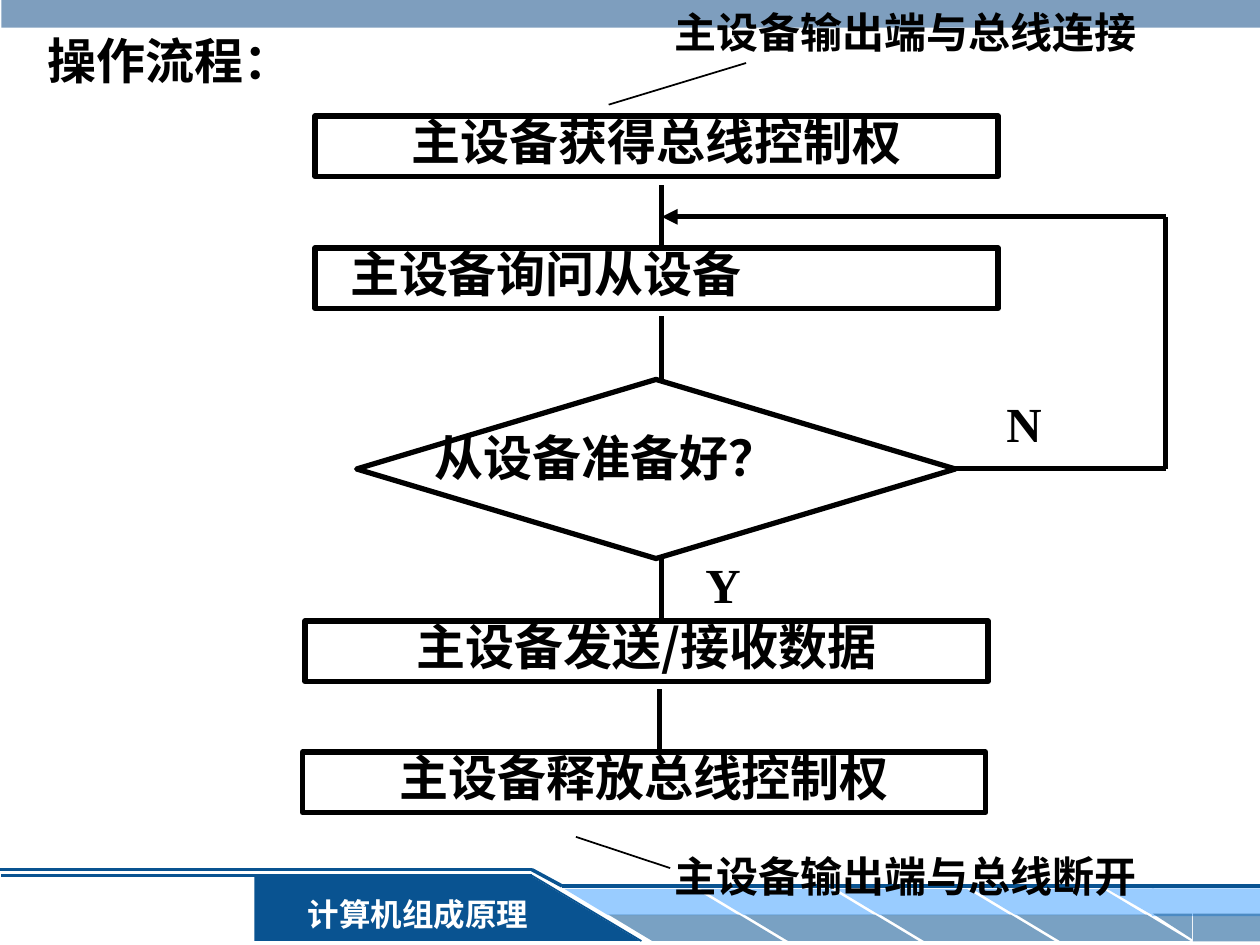
from lxml import etree
from pptx import Presentation
from pptx.dml.color import RGBColor
from pptx.enum import shapes, text
from pptx.oxml.ns import qn
from pptx.util import Cm, Pt

COLORS = {
    "ink": "000000",
    "white": "FFFFFF",
    "navy": "095391",
    "sky": "99CCFF",
    "header": "336699",
}
CJK_FONT = "Noto Sans CJK SC"
LATIN_FONT = "Times New Roman"
PRESET = shapes.MSO_SHAPE
LEFT, CENTER = text.PP_ALIGN.LEFT, text.PP_ALIGN.CENTER


def color(name):
    return RGBColor.from_string(COLORS[name])


def write(shape, wording, size=28, font=CJK_FONT, ink="ink", align=LEFT,
          spacing=1.0, indent=0):
    frame = shape.text_frame
    frame.text = wording
    frame.word_wrap = True
    frame.auto_size = text.MSO_AUTO_SIZE.NONE
    frame.vertical_anchor = text.MSO_ANCHOR.TOP
    frame.margin_left = Cm(0.25 + indent)
    frame.margin_right = Cm(0.25)
    frame.margin_top = frame.margin_bottom = Cm(0.13)
    paragraph = frame.paragraphs[0]
    paragraph.alignment = align
    paragraph.line_spacing = spacing
    paragraph.space_before = Pt(0)
    run = paragraph.runs[0]
    run.font.name = font
    run.font.size = Pt(size)
    run.font.bold = True
    run.font.color.rgb = color(ink)
    east_asian = etree.SubElement(run.font._element, qn("a:ea"))
    east_asian.set("typeface", CJK_FONT)


def add_label(slide, wording, box, **style):
    label = slide.shapes.add_textbox(*map(Cm, box))
    write(label, wording, **style)


def add_panel(slide, preset, box, fill, opacity=100, flip="", slant=None):
    panel = slide.shapes.add_shape(preset, *map(Cm, box))
    panel.shadow.inherit = False
    panel.fill.solid()
    panel.fill.fore_color.rgb = color(fill)
    panel.line.fill.background()
    if slant:
        panel.adjustments[0] = slant
    for axis in flip:
        panel._element.spPr.xfrm.set("flip" + axis, "1")
    if opacity < 100:
        tint = panel._element.spPr.find(".//" + qn("a:srgbClr"))
        etree.SubElement(tint, qn("a:alpha")).set("val", str(opacity * 1000))
    return panel


def add_step(slide, preset, box):
    step = slide.shapes.add_shape(preset, *map(Cm, box))
    step.shadow.inherit = False
    step.fill.background()
    step.line.color.rgb = color("ink")
    step.line.width = Pt(3)
    return step


def add_line(slide, start, end, width=3, ink="ink", arrow=False):
    line = slide.shapes.add_connector(
        shapes.MSO_CONNECTOR.STRAIGHT, *map(Cm, start + end))
    line.line.color.rgb = color(ink)
    line.line.width = Pt(width)
    if arrow:
        outline = line.line._get_or_add_ln()
        etree.SubElement(outline, qn("a:tailEnd")).set("type", "triangle")
    etree.SubElement(line._element.spPr, qn("a:effectLst"))


def add_footer(slide):
    add_panel(slide, PRESET.RECTANGLE, (5.13, 17.65, 5.59, 1.32), "navy")
    for start, end, width in (
        ((12.93, 18.97), (10.72, 17.65), 1),
        ((10.72, 17.65), (0.03, 17.65), 1.5),
        ((-0.03, 17.53), (10.72, 17.53), 2),
    ):
        add_line(slide, start, end, width, "navy")

    rows = ((11.38, 17.92, "sky", 100), (12.27, 18.44, "navy", 54))
    for tile in range(4):
        for left, top, fill, opacity in rows:
            add_panel(slide, PRESET.PARALLELOGRAM,
                      (left + 2.74 * tile, top, 3.51, 0.53),
                      fill, opacity, "H", 1.66)
    for preset, box, fill, opacity, flip in (
        (PRESET.RECTANGLE, (23.22, 17.91, 2.18, 0.56), "sky", 100, ""),
        (PRESET.RIGHT_TRIANGLE, (22.3, 17.91, 0.97, 0.56), "sky", 100, "HV"),
        (PRESET.RECTANGLE, (24.05, 18.42, 1.37, 0.56), "navy", 54, ""),
        (PRESET.RIGHT_TRIANGLE, (23.24, 18.42, 0.79, 0.51), "navy", 54, "HV"),
    ):
        add_panel(slide, preset, box, fill, opacity, flip)

    add_line(slide, (11.33, 17.86), (25.43, 17.86), 2, "navy")
    course = add_panel(slide, PRESET.RECTANGLE, (5.82, 17.91, 5.21, 1.02), "navy")
    write(course, "计算机组成原理", size=18, font=LATIN_FONT, ink="white", align=CENTER)
    add_panel(slide, PRESET.RIGHT_TRIANGLE, (10.69, 17.65, 2.21, 1.32), "navy")
    add_line(slide, (10.72, 17.53), (11.33, 17.86), 2, "navy")


def add_flow(slide):
    for wording, left, top, align, indent in (
        ("主设备获得总线控制权", 6.35, 2.34, CENTER, 0),
        ("主设备询问从设备", 6.35, 5, LEFT, 0.46),
        ("主设备发送/接收数据", 6.15, 12.52, CENTER, 0),
        ("主设备释放总线控制权", 6.1, 15.16, CENTER, 0),
    ):
        step = add_step(slide, PRESET.RECTANGLE, (left, top, 13.77, 1.22))
        write(step, wording, align=align, spacing=0.8, indent=indent)

    add_step(slide, PRESET.FLOWCHART_DECISION, (7.19, 7.65, 12.07, 3.61))
    add_label(slide, "从设备准备好？", (7.82, 8.71, 11.43, 1.22),
              spacing=0.8, indent=0.69)

    for x, top in ((13.34, 3.73), (13.34, 6.38), (13.34, 11.25), (13.3, 13.89)):
        add_line(slide, (x, top), (x, top + 1.27))

    add_line(slide, (19.25, 9.45), (23.5, 9.45))
    add_line(slide, (23.5, 9.45), (23.5, 4.37))
    add_line(slide, (23.5, 4.37), (13.34, 4.37), arrow=True)
    for answer, left, top in (("Y", 13.97, 11.05), ("N", 20.04, 7.8)):
        add_label(slide, answer, (left, top, 2.11, 1.45), font=LATIN_FONT)


def add_notes_on_bus(slide):
    for wording, top, start, end in (
        ("主设备输出端与总线连接", 0, (12.27, 2.11), (15.04, 1.27)),
        ("主设备输出端与总线断开", 17.02, (11.61, 16.87), (13.51, 17.5)),
    ):
        add_line(slide, start, end, 1)
        add_label(slide, wording, (13.34, top, 12.07, 1.27), size=24, font=LATIN_FONT)


def main():
    deck = Presentation()
    deck.slide_width, deck.slide_height = Cm(25.4), Cm(19.05)
    slide = deck.slides.add_slide(deck.slide_layouts[5])

    title = slide.shapes.title
    title.left, title.top, title.width, title.height = map(Cm, (0.51, 0.48, 8.61, 1.45))
    write(title, "操作流程：", indent=0.2)

    add_footer(slide)
    add_panel(slide, PRESET.RECTANGLE, (0.03, -0.08, 25.4, 0.64), "header", 63)
    add_flow(slide)
    add_notes_on_bus(slide)
    deck.save("out.pptx")


if __name__ == "__main__":
    main()
